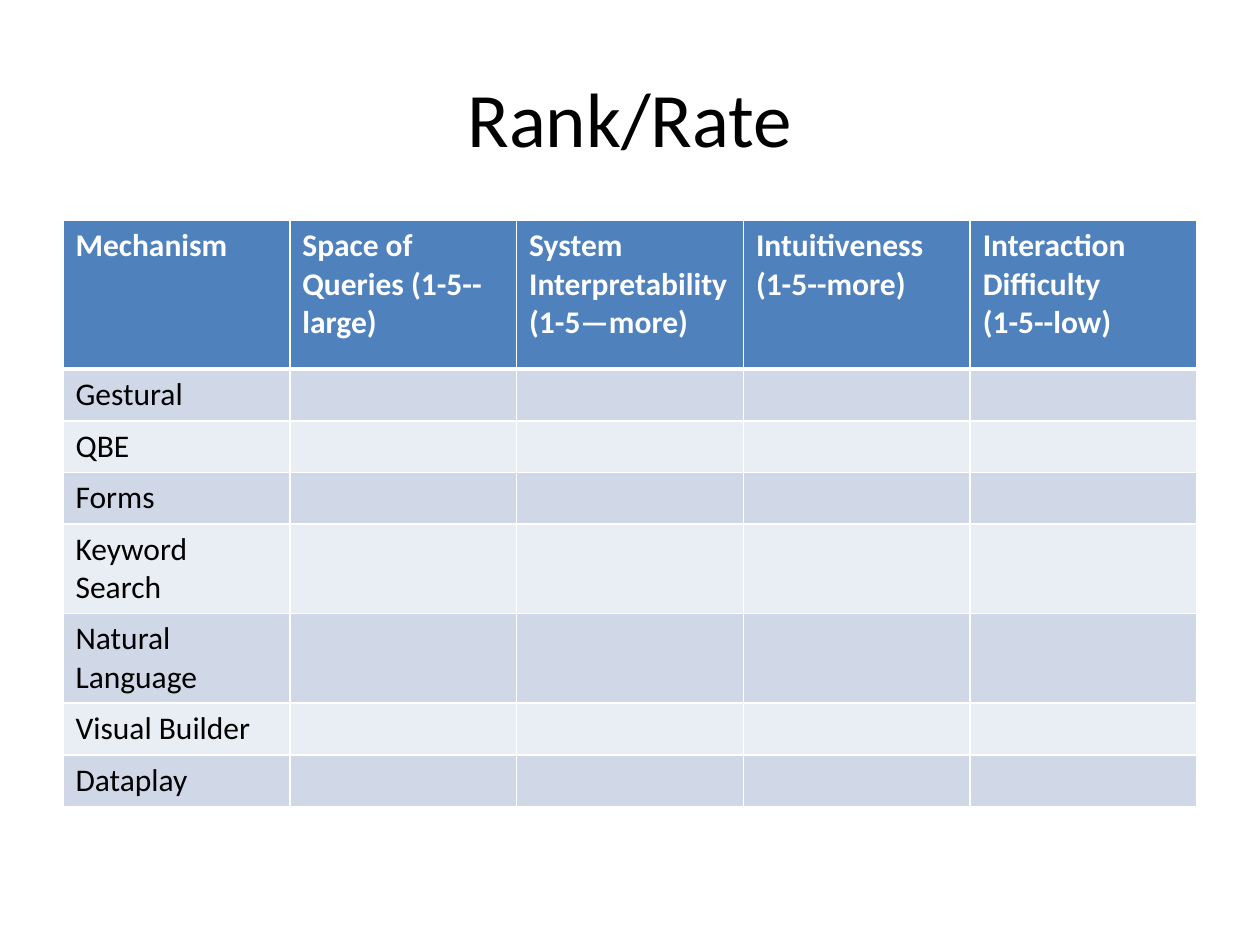
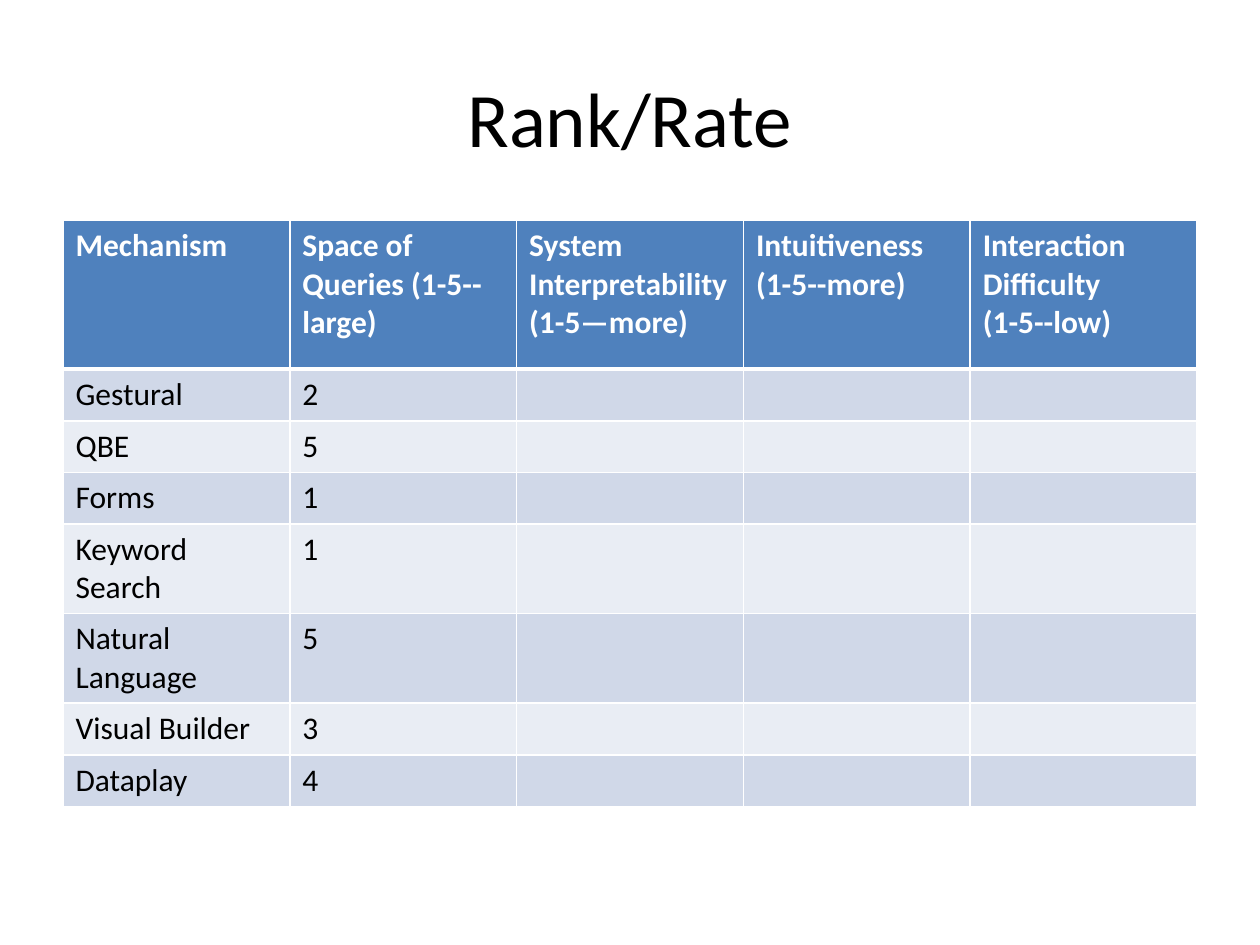
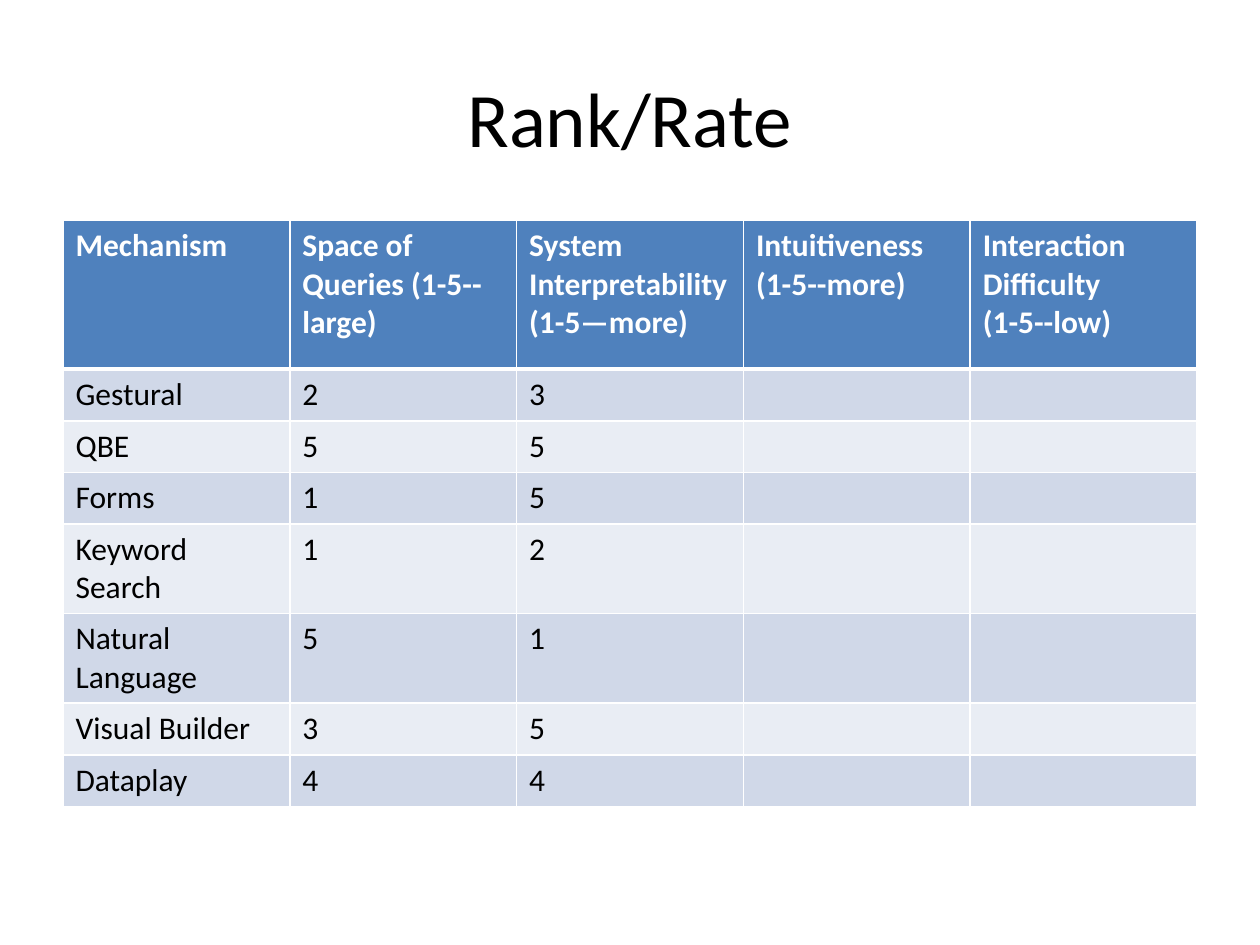
from dataclasses import dataclass

import pptx
import pptx.dml.color
import pptx.enum.text
import pptx.oxml
import pptx.oxml.ns
import pptx.util
from pptx.util import Inches


@dataclass(frozen=True)
class Theme:
    font: str = "Calibri"
    title_size: int = 44
    cell_size: int = 18
    text: str = "000000"
    header_text: str = "FFFFFF"
    header_fill: str = "4F81BD"
    bands: tuple = ("D0D8E8", "E9EDF4")
    border: str = "FFFFFF"
    thin: int = 1
    thick: int = 3


THEME = Theme()
TITLE_BOX = (Inches(0.5), Inches(0.3), Inches(9), Inches(1.25))
TABLE_BOX = (Inches(0.5), Inches(1.75), Inches(9), Inches(4.05))
HEADER_HEIGHT = Inches(1.18)

TITLE = "Rank/Rate"
HEADERS = [
    "Mechanism",
    "Space of Queries (1-5--large)",
    "System Interpretability (1-5—more)",
    "Intuitiveness\n(1-5--more)",
    "Interaction Difficulty\n(1-5--low)",
]
# Mechanism, space of queries, system interpretability
RATINGS = [
    ("Gestural", 2, 3),
    ("QBE", 5, 5),
    ("Forms", 1, 5),
    ("Keyword Search", 1, 2),
    ("Natural Language", 5, 1),
    ("Visual Builder", 3, 5),
    ("Dataplay", 4, 4),
]


def rgb(value):
    return pptx.dml.color.RGBColor.from_string(value)


def style_text(frame, size, color, bold=False):
    for para in frame.paragraphs:
        for span in para.runs:
            span.font.name = THEME.font
            span.font.size = pptx.util.Pt(size)
            span.font.color.rgb = rgb(color)
            span.font.bold = bold


def add_borders(cell, top, bottom):
    """Draw all four cell borders; top and bottom are widths in points."""
    properties = cell._tc.get_or_add_tcPr()
    widths = {"lnL": THEME.thin, "lnR": THEME.thin, "lnT": top, "lnB": bottom}
    for side, width in widths.items():
        properties.append(pptx.oxml.parse_xml(
            f'<a:{side} {pptx.oxml.ns.nsdecls("a")} w="{pptx.util.Pt(width)}">'
            f'<a:solidFill><a:srgbClr val="{THEME.border}"/></a:solidFill>'
            f'</a:{side}>'))


def format_cell(cell, row):
    header = row == 0
    add_borders(cell,
                top=THEME.thick if row == 1 else THEME.thin,
                bottom=THEME.thick if header else THEME.thin)
    fill = THEME.header_fill if header else THEME.bands[(row - 1) % 2]
    cell.fill.solid()
    cell.fill.fore_color.rgb = rgb(fill)
    color = THEME.header_text if header else THEME.text
    style_text(cell.text_frame, THEME.cell_size, color, bold=header)


def add_title(page, box):
    title = page.shapes.title
    title.left, title.top, title.width, title.height = box
    frame = title.text_frame
    frame.text = TITLE
    frame.vertical_anchor = pptx.enum.text.MSO_ANCHOR.MIDDLE
    frame.paragraphs[0].alignment = pptx.enum.text.PP_ALIGN.CENTER
    style_text(frame, THEME.title_size, THEME.text)


def add_rating_table(page, box, rated):
    """Fill in the first `rated` rating columns and leave the others empty."""
    left, top, width, height = box
    rows = [HEADERS] + [rating[:rated + 1] for rating in RATINGS]
    table = page.shapes.add_table(
        len(rows), len(HEADERS), left, top, width, height).table
    for column in table.columns:
        column.width = width // len(HEADERS)
    for index, row in enumerate(table.rows):
        row.height = (height - HEADER_HEIGHT) // len(RATINGS) if index else HEADER_HEIGHT
        for cell, value in zip(row.cells, rows[index]):
            cell.text_frame.text = str(value)
        for cell in row.cells:
            format_cell(cell, index)


def add_rating_page(deck, rated):
    page = deck.slides.add_slide(deck.slide_layouts.get_by_name("Title Only"))
    add_title(page, TITLE_BOX)
    add_rating_table(page, TABLE_BOX, rated)


def main():
    deck = pptx.Presentation()
    deck.slide_width, deck.slide_height = Inches(10), Inches(7.5)
    for rated in range(3):
        add_rating_page(deck, rated)
    deck.save("out.pptx")


if __name__ == "__main__":
    main()
